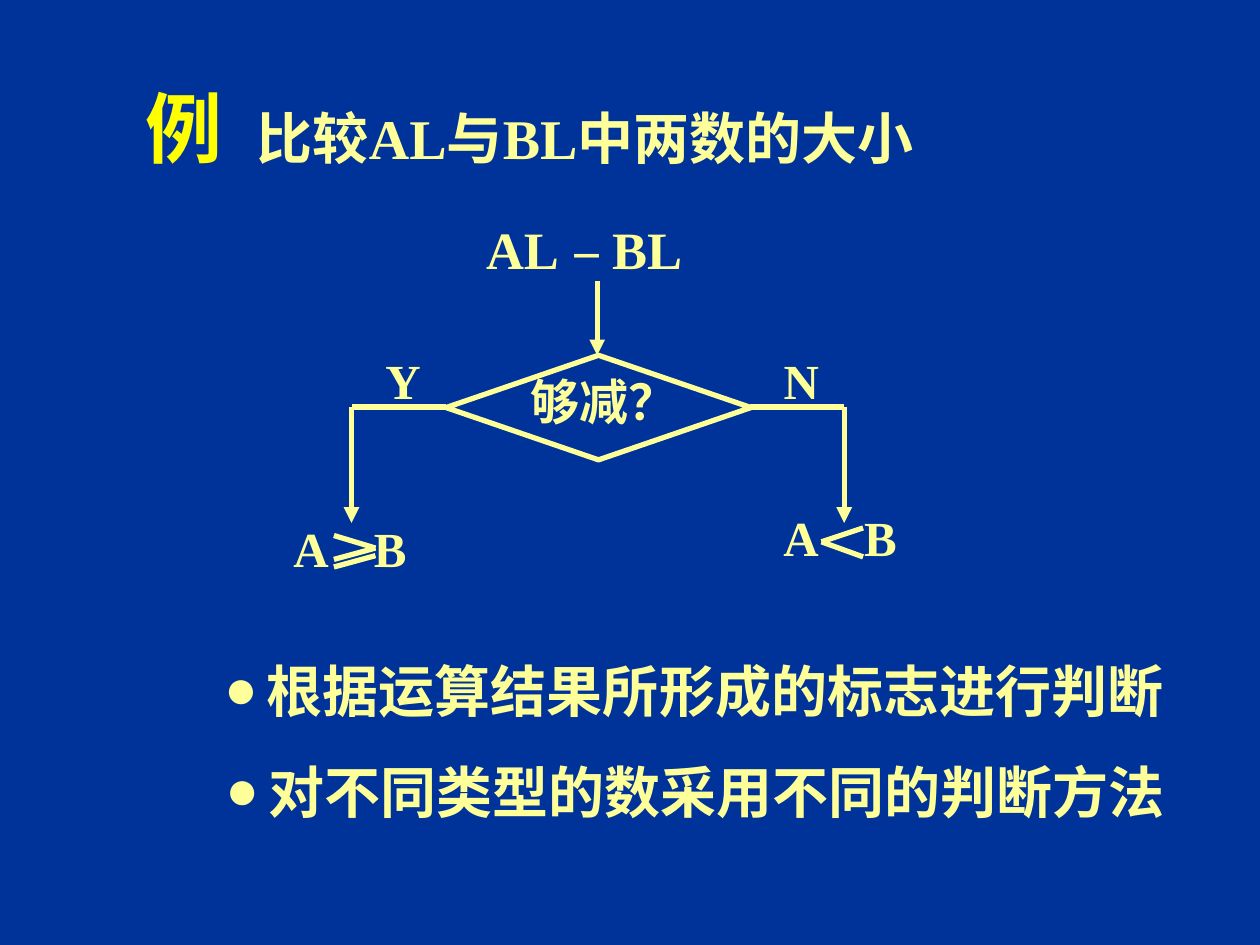
from dataclasses import dataclass

from lxml import etree
from pptx import Presentation
from pptx.dml.color import RGBColor
from pptx.enum import shapes, text
from pptx.oxml.ns import qn
from pptx.util import Inches, Pt

NAVY = RGBColor(0x00, 0x33, 0x99)
YELLOW = RGBColor(0xFF, 0xFF, 0x00)
CREAM = RGBColor(0xFF, 0xFF, 0x99)
FACE = "Times New Roman"


@dataclass
class Label:
    """A text box; its runs are (words, size) pairs."""
    left: float
    top: float
    width: float
    height: float
    runs: list
    bullet: bool = False
    tab: float = 0


@dataclass
class Line:
    start: tuple
    end: tuple
    arrow: bool = False


def style(font, size, color=CREAM) -> None:
    font.name, font.bold, font.size = FACE, True, Pt(size)
    font.color.rgb = color


def add_bullet(props) -> None:
    indent = Inches(0.34)
    props.set("marL", str(indent))
    props.set("indent", str(-indent))
    hue = etree.SubElement(props, qn("a:buClr"))
    etree.SubElement(hue, qn("a:srgbClr"), val=str(CREAM))
    etree.SubElement(props, qn("a:buSzPct"), val="100000")
    etree.SubElement(props, qn("a:buFont"), typeface=FACE)
    etree.SubElement(props, qn("a:buChar"), char="●")


def add_tab(props, place: float) -> None:
    stops = etree.SubElement(props, qn("a:tabLst"))
    etree.SubElement(stops, qn("a:tab"), pos=str(Inches(place)), algn="l")


def draw_label(slide, label: Label) -> None:
    box = slide.shapes.add_textbox(Inches(label.left), Inches(label.top),
                                   Inches(label.width), Inches(label.height))
    frame = box.text_frame
    frame.word_wrap = label.bullet or bool(label.tab)
    para = frame.paragraphs[0]
    props = para._p.get_or_add_pPr()
    if label.bullet:
        add_bullet(props)
    if label.tab:
        add_tab(props, label.tab)
    base = label.runs[0][1]
    style(para.font, base)
    for words, size in label.runs:
        run = para.add_run()
        run.text = words
        if size != base:
            run.font.size = Pt(size)


def draw_line(parent, line: Line) -> None:
    ends = [Inches(n) for n in line.start + line.end]
    wire = parent.shapes.add_connector(shapes.MSO_CONNECTOR.STRAIGHT, *ends)
    wire.line.color.rgb = CREAM
    wire.line.width = Pt(3)
    if line.arrow:
        etree.SubElement(wire.line._get_or_add_ln(), qn("a:tailEnd"), type="triangle")
    etree.SubElement(wire._element.spPr, qn("a:effectLst"))


def draw_test(slide) -> None:
    test = slide.shapes.add_shape(shapes.MSO_SHAPE.FLOWCHART_DECISION,
                                  Inches(3.54), Inches(2.82), Inches(2.42), Inches(0.83))
    test.shadow.inherit = False
    test.fill.background()
    test.line.color.rgb = CREAM
    test.line.width = Pt(3)


def draw_title(slide) -> None:
    title = slide.shapes.title
    title.left, title.top = Inches(0.92), Inches(0.63)
    title.width, title.height = Inches(1.08), Inches(0.75)
    frame = title.text_frame
    frame.text = "例"
    frame.vertical_anchor = text.MSO_ANCHOR.MIDDLE
    para = frame.paragraphs[0]
    para.alignment = text.PP_ALIGN.CENTER
    style(para.font, 44, YELLOW)


# Flow chart: centre, branch columns and levels
MID, YES, NO = 4.74, 2.79, 6.7
LEVEL, FOOT = 3.23, 4.15
FLOW = [
    Line((3.54, LEVEL), (YES, LEVEL)),
    Line((NO, LEVEL), (5.95, LEVEL)),
    Line((MID, 2.23), (MID, 2.82), True),
    Line((YES, LEVEL), (YES, FOOT), True),
    Line((NO, LEVEL), (NO, FOOT), True),
]

# Comparison signs drawn between A and B
SIGNS = [
    [Line((2.65, 4.25), (2.98, 4.35)),
     Line((2.65, 4.44), (2.98, 4.35)),
     Line((2.65, 4.5), (2.98, 4.41))],
    [Line((6.52, 4.3), (6.85, 4.19)),
     Line((6.52, 4.3), (6.85, 4.42))],
]

LABELS = [
    Label(1.94, 0.77, 5.84, 0.64, [("比较AL与BL中两数的大小", 32)]),
    Label(3.76, 1.67, 1.94, 0.6, [("AL ", 30), ("－ ", 20), ("BL", 30)]),
    Label(4.11, 2.9, 1.36, 0.57, [("够减？", 28)]),
    Label(2.96, 2.73, 0.48, 0.57, [("Y", 28)]),
    Label(6.12, 2.73, 0.48, 0.57, [("N", 28)]),
    Label(2.23, 4.07, 1.13, 0.57, [("A\tB", 28)], tab=0.64),
    Label(6.12, 3.98, 1.13, 0.57, [("A\tB", 28)], tab=0.64),
    Label(1.68, 5.16, 7.8, 0.64, [("根据运算结果所形成的标志进行判断", 32)], bullet=True),
    Label(1.69, 5.96, 7.8, 0.64, [("对不同类型的数采用不同的判断方法", 32)], bullet=True),
]


def main() -> None:
    deck = Presentation()
    deck.slide_width, deck.slide_height = Inches(10), Inches(7.5)
    slide = deck.slides.add_slide(deck.slide_layouts[5])
    slide.background.fill.solid()
    slide.background.fill.fore_color.rgb = NAVY

    draw_title(slide)
    draw_test(slide)
    for line in FLOW:
        draw_line(slide, line)
    for label in LABELS:
        draw_label(slide, label)
    for sign in SIGNS:
        group = slide.shapes.add_group_shape()
        for line in sign:
            draw_line(group, line)

    deck.save("out.pptx")


if __name__ == "__main__":
    main()
